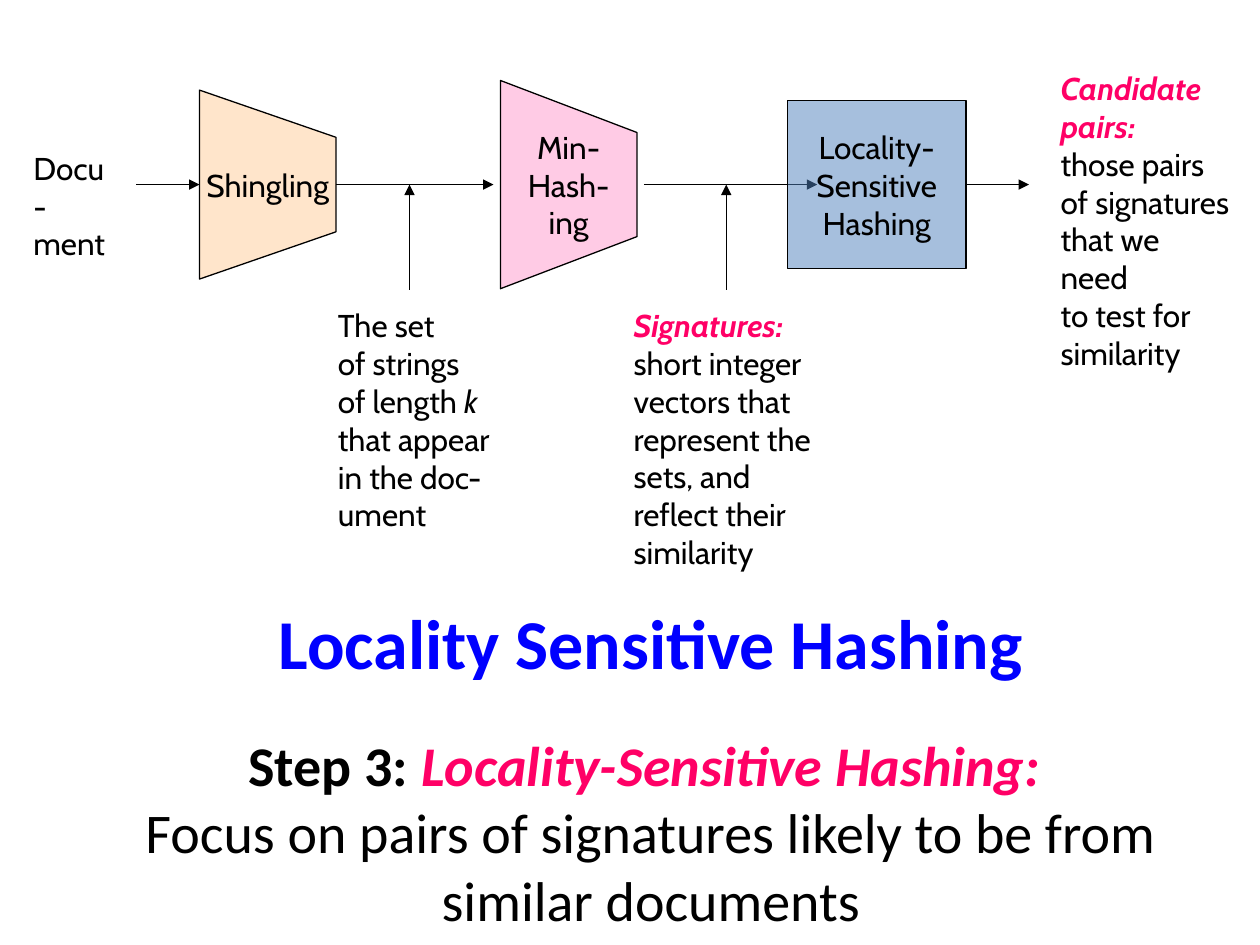
import pptx
import pptx.dml.color
import pptx.enum.shapes
import pptx.enum.text
import pptx.oxml
import pptx.oxml.ns
import pptx.util

Pt = pptx.util.Pt
RGBColor = pptx.dml.color.RGBColor
ALIGN = pptx.enum.text.PP_ALIGN
ANCHOR = pptx.enum.text.MSO_ANCHOR
RECTANGLE = pptx.enum.shapes.MSO_SHAPE.RECTANGLE
STRAIGHT = pptx.enum.shapes.MSO_CONNECTOR.STRAIGHT

BLACK = RGBColor(0x00, 0x00, 0x00)
BLUE = RGBColor(0x00, 0x00, 0xFF)
PINK = RGBColor(0xFF, 0x00, 0x66)
PEACH = RGBColor(0xFF, 0xCC, 0x99)
ROSE = RGBColor(0xFF, 0x99, 0xCC)
STEEL = RGBColor(0x4F, 0x81, 0xBD)

LABEL = {"name": "Cabin", "size": Pt(18), "bold": False, "italic": False}
KEY = {"bold": True, "italic": True, "color": PINK}
TITLE = {"name": "Calibri", "size": Pt(40), "bold": True, "color": BLUE}
STEP = {"name": "Calibri", "size": Pt(32), "bold": False, "italic": False}


def add_run(p, text, base, **changes):
    """Add a run with the base format and any changes to it."""
    r = p.add_run()
    r.text = text
    fmt = {"color": BLACK, **base, **changes}
    r.font.color.rgb = fmt.pop("color")
    for name, value in fmt.items():
        setattr(r.font, name, value)


def fill_text(tf, lines, align=ALIGN.LEFT):
    """Write one paragraph per line, each a string or a list of (text, changes)."""
    tf.word_wrap = True
    for i, line in enumerate(lines):
        p = tf.paragraphs[0] if i == 0 else tf.add_paragraph()
        p.alignment = align
        for text, changes in [(line, {})] if isinstance(line, str) else line:
            add_run(p, text, LABEL, **changes)


def add_note(slide, box, lines):
    """Place a left-aligned note in the box."""
    tb = slide.shapes.add_textbox(*map(Pt, box))
    fill_text(tb.text_frame, lines)


def add_arrow(slide, x1, y1, x2, y2):
    """Draw a thin black arrow and return it."""
    cx = slide.shapes.add_connector(STRAIGHT, Pt(x1), Pt(y1), Pt(x2), Pt(y2))
    cx.line.color.rgb = BLACK
    cx.line.width = Pt(0.75)
    ln = cx.line._get_or_add_ln()
    pptx.oxml.ns.qn("a:tailEnd")
    tail = '<a:tailEnd %s type="triangle"/>' % pptx.oxml.ns.nsdecls("a")
    ln.append(pptx.oxml.parse_xml(tail))
    effects = "<a:effectLst %s/>" % pptx.oxml.ns.nsdecls("a")
    cx._element.spPr.append(pptx.oxml.parse_xml(effects))
    return cx


def style_stage(sp, color, lines):
    """Give a stage its half-transparent fill, outline and centred label."""
    sp.shadow.inherit = False
    sp.fill.solid()
    sp.fill.fore_color.rgb = color
    alpha = '<a:alpha %s val="50000"/>' % pptx.oxml.ns.nsdecls("a")
    clr = sp._element.spPr.find(".//" + pptx.oxml.ns.qn("a:srgbClr"))
    clr.append(pptx.oxml.parse_xml(alpha))
    sp.line.color.rgb = BLACK
    sp.line.width = Pt(0.75)
    tf = sp.text_frame
    tf.vertical_anchor = ANCHOR.MIDDLE
    tf.margin_left = tf.margin_right = Pt(3)
    fill_text(tf, lines, ALIGN.CENTER)


def add_funnel(slide, box, color, lines):
    """Draw a stage that narrows to the right by a quarter on each side."""
    x, y, w, h = box
    inset = h / 4
    corners = [(x + w, y + inset), (x + w, y + h - inset), (x, y + h)]
    fb = slide.shapes.build_freeform(Pt(x), Pt(y))
    fb.add_line_segments([(Pt(a), Pt(b)) for a, b in corners], close=True)
    style_stage(fb.convert_to_shape(), color, lines)


def add_pipeline(slide, box):
    """Draw the stages from document to candidate pairs in the box."""
    x, y, w, h = box
    mid = y + 69.5
    note_top = y + 135.5

    add_note(slide, (x, mid - 24, 61, 50), ["Docu-", "ment"])
    add_arrow(slide, x + 66, mid, x + 102, mid)
    add_funnel(slide, (x + 102, mid - 54, 78, 108), PEACH, ["Shingling"])

    add_arrow(slide, x + 180, mid, x + 270, mid)
    add_funnel(slide, (x + 274, mid - 59.5, 78, 119), ROSE, ["Min-Hash-", "ing"])
    add_arrow(slide, x + 356, mid, x + 455, mid)

    for tip in (x + 222, x + 403):
        add_arrow(slide, tip, mid + 60, tip, mid)
    add_note(slide, (x + 174, note_top, 107, 137), [
        "The set", "of strings", [("of length ", {}), ("k", {"italic": True})],
        "that appear", "in the doc-", "ument"])
    add_note(slide, (x + 343, note_top, 124, 150), [
        [("Signatures:", KEY)], "short integer", "vectors that",
        "represent the", "sets, and", "reflect their", "similarity"])

    sp = slide.shapes.add_shape(RECTANGLE, Pt(x + 438), Pt(mid - 48), Pt(102), Pt(96))
    style_stage(sp, STEEL, ["Locality-", "Sensitive", "Hashing"])
    add_arrow(slide, x + 540, mid, x + 576, mid).begin_connect(sp, 3)
    add_note(slide, (x + w - 113, y, 113, 160), [
        [("Candidate", KEY)], [("pairs:", KEY)], "those pairs",
        "of signatures", "that we need", "to test for", "similarity"])


def add_title(slide, box):
    """Place the slide title in the lower part of the box."""
    sp = slide.shapes.title
    sp.left, sp.top, sp.width, sp.height = map(Pt, box)
    tf = sp.text_frame
    tf.vertical_anchor = ANCHOR.MIDDLE
    tf.margin_top = Pt(52)
    p = tf.paragraphs[0]
    p.alignment = ALIGN.CENTER
    add_run(p, "Locality Sensitive Hashing", TITLE)


def add_step(slide, box):
    """Place the description of the step in the box."""
    tf = slide.shapes.add_textbox(*map(Pt, box)).text_frame
    tf.word_wrap = True
    p = tf.paragraphs[0]
    p.alignment = ALIGN.CENTER
    add_run(p, "Step 3: ", STEP, bold=True)
    add_run(p, "Locality-Sensitive Hashing: ", STEP, **KEY)
    p.add_line_break()
    add_run(p, "Focus on pairs of signatures likely to be from similar documents", STEP)


def main():
    """Build the slide and save it."""
    prs = pptx.Presentation()
    prs.slide_width, prs.slide_height = Pt(720), Pt(540)
    slide = prs.slides.add_slide(prs.slide_layouts[5])
    add_title(slide, (54, 276.5, 636, 132))
    add_step(slide, (54, 414, 636, 118))
    add_pipeline(slide, (12, 36, 700, 285))
    prs.save("out.pptx")


if __name__ == "__main__":
    main()
